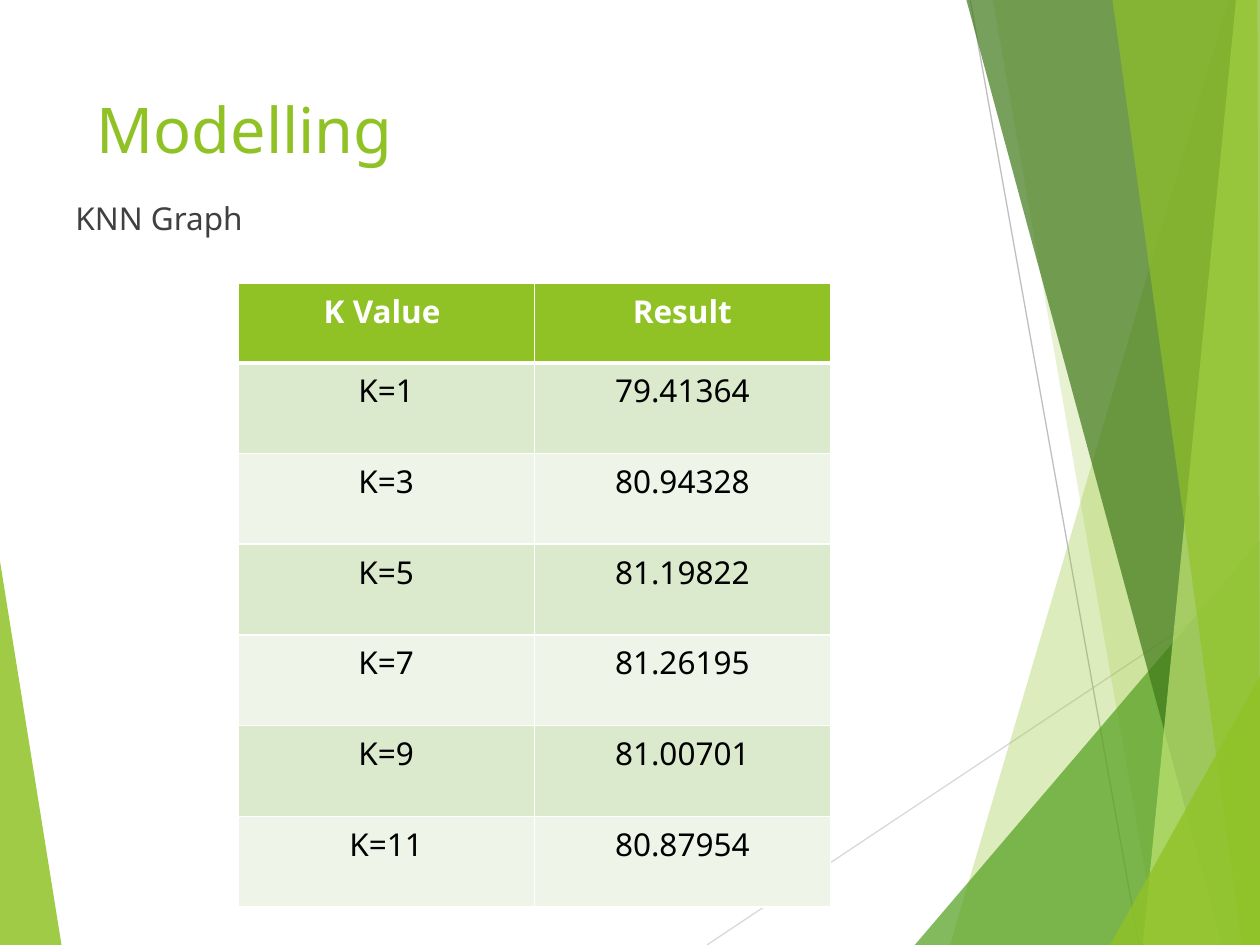
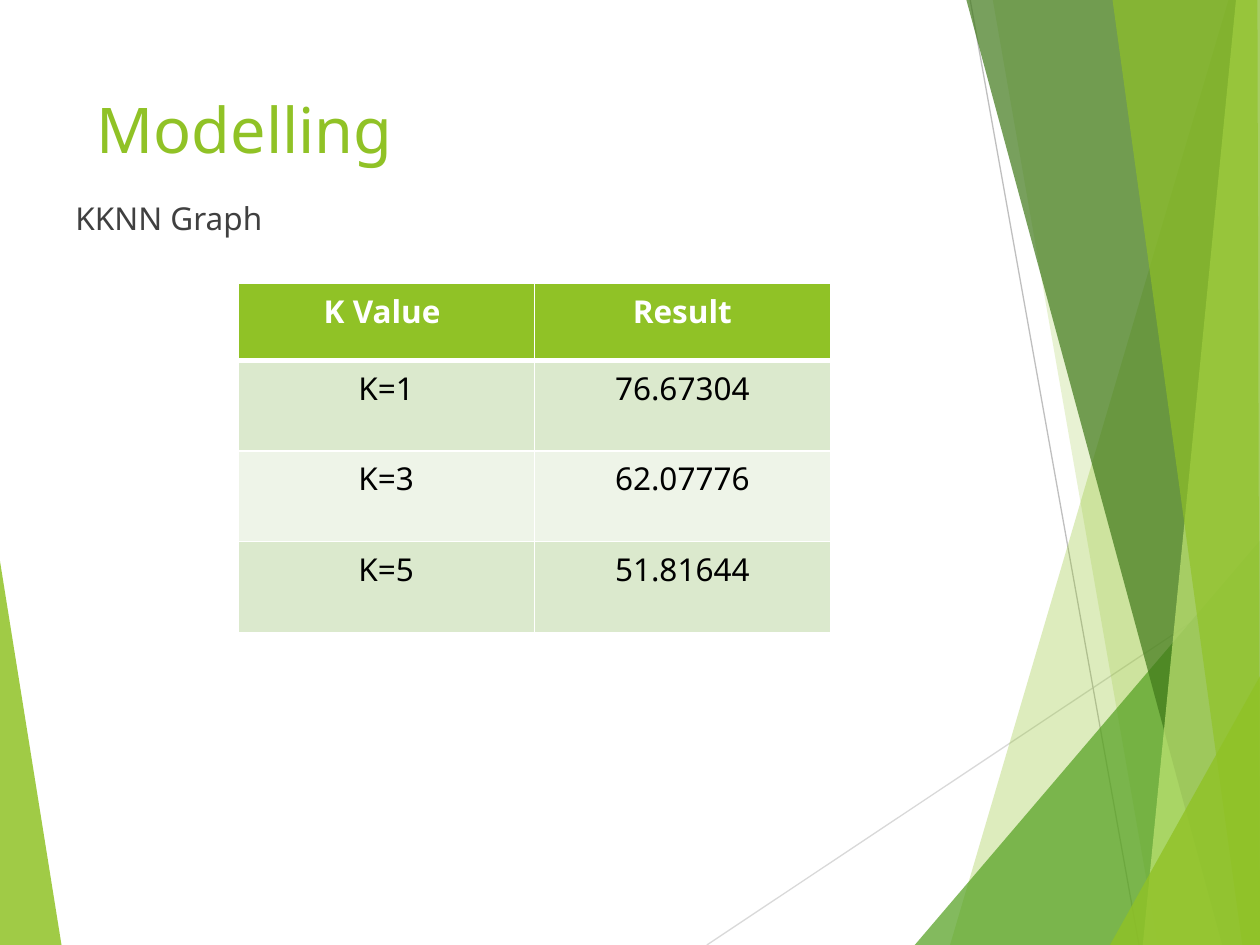
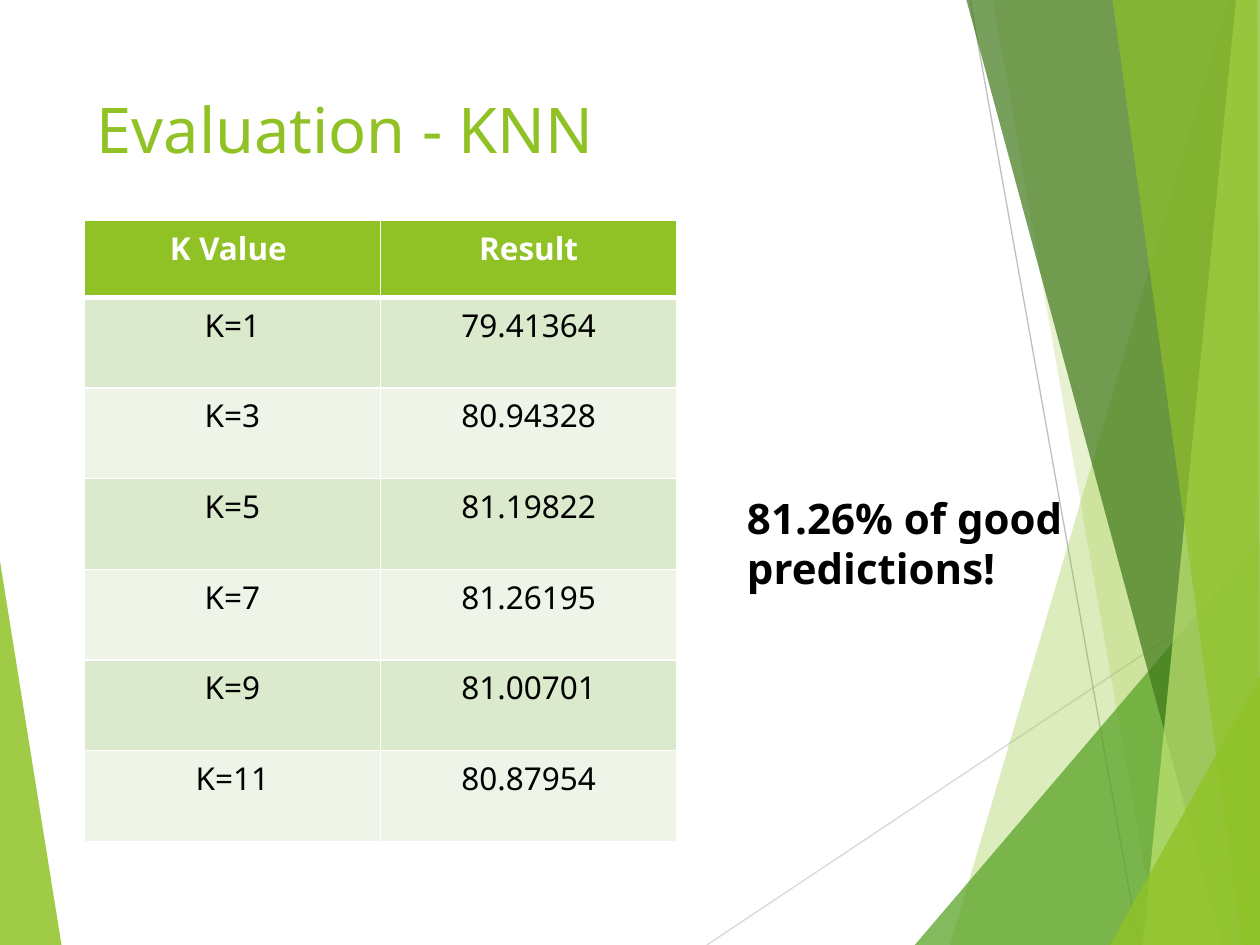
from dataclasses import dataclass

from lxml.etree import SubElement
from pptx import Presentation
from pptx.dml.color import RGBColor
from pptx.enum.shapes import MSO_CONNECTOR
from pptx.enum.text import PP_ALIGN
from pptx.oxml.ns import qn
from pptx.util import Emu, Inches, Pt


@dataclass(frozen=True)
class Theme:
    font: str = "Noto Sans"
    lime: str = "90C226"
    green: str = "54A021"
    forest: str = "3F7819"
    pale: str = "C0E474"
    body: str = "404040"
    black: str = "000000"
    white: str = "FFFFFF"
    line_light: str = "D9D9D9"
    line_dark: str = "BFBFBF"
    bands: tuple = ("DBE9CD", "EEF4E8")
    title_size: int = 36
    callout_size: int = 24
    body_size: int = 18


THEME = Theme()

# The slide is a grid of 10 columns by 7.5 rows of square units
COLUMNS, ROWS = 10, 7.5
WIDTH, HEIGHT = Inches(COLUMNS), Inches(ROWS)
UNIT = WIDTH / COLUMNS
TABLE_COLUMN, BODY_ROW = 2.35, 0.72

# Shared backdrop: lines as start, end, colour; facets as points, colour, opacity
LINES = [
    ((5.61, ROWS), (10.01, 4.57), THEME.line_light),
    ((7.7, 0), (9.04, ROWS), THEME.line_dark),
]
LEFT_FACET = ([(-0.01, 4.39), (0.49, 7.51), (-0.01, ROWS)], THEME.lime, 85)
RIGHT_FACETS = [
    ([(9.75, 0), (7.54, ROWS), (10.02, ROWS), (10.01, 0)], THEME.lime, 30),
    ([(7.88, 0), (9.19, ROWS), (10.01, ROWS), (10.01, 0)], THEME.lime, 20),
    ([(7.26, ROWS), (10, 4.29), (10.01, ROWS)], THEME.green, 72),
    ([(7.67, 0), (9.7, ROWS), (10.01, ROWS), (10.01, 0)], THEME.forest, 70),
    ([(9.81, 0), (9.07, ROWS), (10.01, ROWS), (10, 0)], THEME.pale, 70),
    ([(8.83, 0), (9.86, ROWS), (10, ROWS), (9.98, 0)], THEME.lime, 65),
    ([(8.81, ROWS), (10.01, 5.35), (10.01, ROWS)], THEME.lime, 80),
]

HEADINGS = ("K Value ", "Result")
KNN_RESULTS = [
    ("K=1", "79.41364"), ("K=3", "80.94328"), ("K=5", "81.19822"),
    ("K=7", "81.26195"), ("K=9", "81.00701"), ("K=11", "80.87954"),
]
KKNN_RESULTS = [("K=1", "76.67304"), ("K=3", "62.07776"), ("K=5", "51.81644")]


def grid(*values):
    return [Emu(round(value * UNIT)) for value in values]


def rgb(color):
    return RGBColor.from_string(color)


def write(frame, text, *, size=THEME.body_size, color=THEME.black, bold=False,
          align=PP_ALIGN.LEFT):
    paragraph = frame.paragraphs[0]
    paragraph.alignment = align
    run = paragraph.add_run()
    run.text = text
    run.font.name = THEME.font
    run.font.size = Pt(size)
    run.font.bold = bold
    run.font.color.rgb = rgb(color)


def add_text(slide, box, text, **text_format):
    frame = slide.shapes.add_textbox(*grid(*box)).text_frame
    frame.word_wrap = True
    write(frame, text, **text_format)


def add_line(slide, start, end, color):
    line = slide.shapes.add_connector(
        MSO_CONNECTOR.STRAIGHT, *grid(*start, *end))
    line.line.color.rgb = rgb(color)
    line.line.width = Pt(0.75)
    SubElement(line._element.spPr, qn("a:effectLst"))


def add_facet(slide, points, color, opacity):
    start, *others = [grid(*point) for point in points]
    builder = slide.shapes.build_freeform(*start)
    builder.add_line_segments(others, close=True)
    shape = builder.convert_to_shape()
    shape.shadow.inherit = False
    shape.line.fill.background()
    shape.fill.solid()
    shape.fill.fore_color.rgb = rgb(color)
    color_element = shape._element.spPr.find(qn("a:solidFill"))[0]
    SubElement(color_element, qn("a:alpha"), val=str(opacity * 1000))


def set_borders(cell, top=1, bottom=1):
    properties = cell._tc.get_or_add_tcPr()
    for side, width in (("L", 1), ("R", 1), ("T", top), ("B", bottom)):
        border = SubElement(properties, qn(f"a:ln{side}"), w=str(Pt(width)))
        fill = SubElement(border, qn("a:solidFill"))
        SubElement(fill, qn("a:srgbClr"), val=THEME.white)


def add_results_table(slide, left, top, header_row, results):
    records = [HEADINGS, *results]
    heights = [header_row] + [BODY_ROW] * len(results)
    box = grid(left, top, TABLE_COLUMN * len(HEADINGS), sum(heights))
    table = slide.shapes.add_table(len(records), len(HEADINGS), *box).table
    table.first_row = table.horz_banding = False
    for column in table.columns:
        column.width, = grid(TABLE_COLUMN)
    for index, (record, height) in enumerate(zip(records, heights)):
        table.rows[index].height, = grid(height)
        header = index == 0
        for cell, text in zip(table.rows[index].cells, record):
            # A thick rule parts the header from the results
            set_borders(cell, top=3 if index == 1 else 1,
                        bottom=3 if header else 1)
            cell.fill.solid()
            cell.fill.fore_color.rgb = rgb(
                THEME.lime if header else THEME.bands[(index - 1) % 2])
            write(cell.text_frame, text, bold=header, align=PP_ALIGN.CENTER,
                  color=THEME.white if header else THEME.black)


def add_titled_slide(presentation, title):
    slide = presentation.slides.add_slide(presentation.slide_layouts[6])
    add_facet(slide, *LEFT_FACET)
    for line in LINES:
        add_line(slide, *line)
    for facet in RIGHT_FACETS:
        add_facet(slide, *facet)
    add_text(slide, (0.67, 0.67, 6.94, 1.44), title,
             size=THEME.title_size, color=THEME.lime)
    return slide


def add_modelling_slide(presentation, subtitle, header_row, results):
    slide = add_titled_slide(presentation, "Modelling")
    add_text(slide, (0.5, 1.53, 9, 4.95), subtitle, color=THEME.body)
    add_results_table(slide, 1.89, 2.25, header_row, results)


def add_evaluation_slide(presentation):
    slide = add_titled_slide(presentation, "Evaluation - KNN")
    add_text(slide, (5.83, 3.86, 3.28, 0.91), "81.26% of good predictions!",
             size=THEME.callout_size, bold=True)
    add_results_table(slide, 0.67, 1.75, 0.61, KNN_RESULTS)


def main():
    presentation = Presentation()
    presentation.slide_width, presentation.slide_height = WIDTH, HEIGHT
    add_modelling_slide(presentation, "KNN Graph", 0.63, KNN_RESULTS)
    add_modelling_slide(presentation, "KKNN Graph", 0.61, KKNN_RESULTS)
    add_evaluation_slide(presentation)
    presentation.save("out.pptx")


if __name__ == "__main__":
    main()
